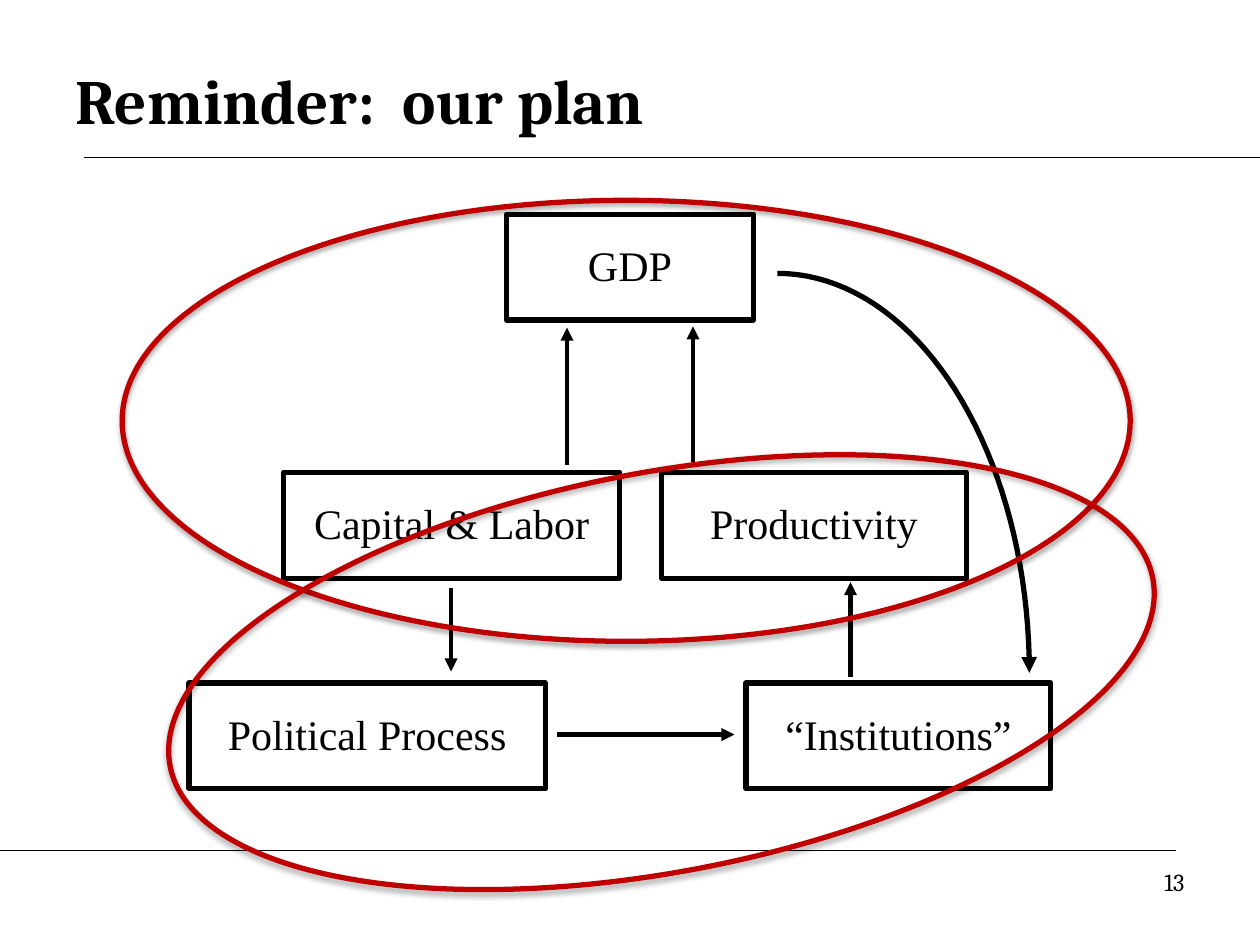
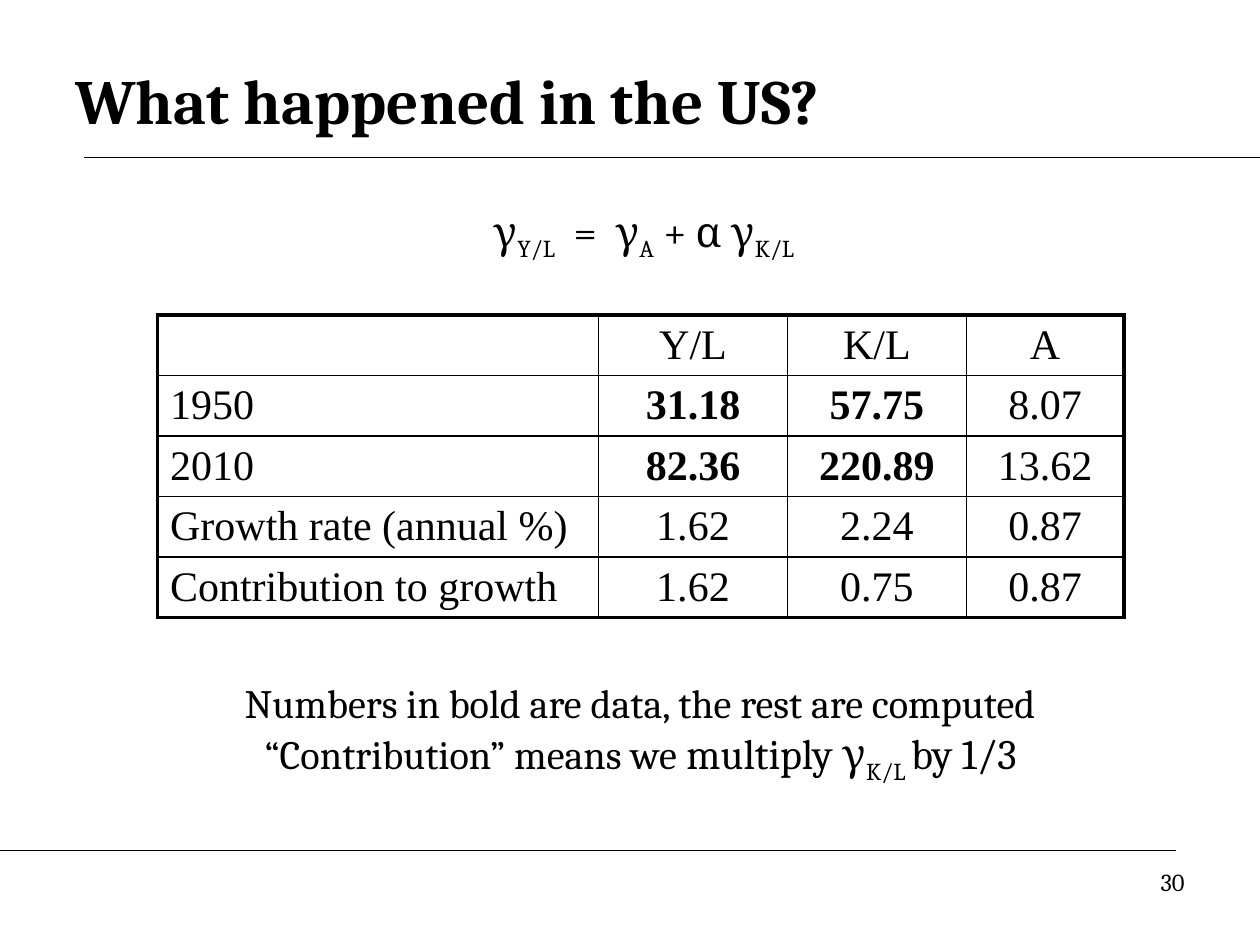
from math import cos, pi, sin

from pptx import Presentation
from pptx.dml.color import RGBColor
from pptx.enum.shapes import MSO_CONNECTOR as CONN, MSO_SHAPE as SHAPE
from pptx.enum.text import MSO_ANCHOR as ANCHOR, MSO_AUTO_SIZE as AUTO, PP_ALIGN as ALIGN
from pptx.oxml import parse_xml
from pptx.oxml.ns import nsdecls
from pptx.util import Inches, Pt

BLACK, RED = "000000", "C00000"
SERIF, TIMES = "Cambria", "Times New Roman"

# Content: flow diagram
PLAN_TITLE, PLAN_PAGE = "Reminder:  our plan", "13"
BOX_H = 0.84
BOXES = [  # text, left, top, width
    ("GDP", 4.02, 1.7, 1.96),
    ("Capital & Labor", 2.25, 3.75, 2.67),
    ("Productivity", 5.25, 3.75, 2.42),
    ("Political Process", 1.5, 5.42, 2.83),
    ("“Institutions”", 5.92, 5.42, 2.42),
]
ARROWS = [  # from x, y, to x, y
    (4.5, 3.69, 4.5, 2.6),
    (5.5, 3.67, 5.5, 2.59),
    (6.75, 5.37, 6.75, 4.62),
    (4.42, 5.83, 5.83, 5.83),
    (3.58, 4.67, 3.58, 5.33),
]
FEEDBACK_ARC = (6.17, 5.34, 2, 3.17)  # centre x, y, radius x, y
ELLIPSES = [  # left, top, width, height, rotation
    (0.97, 1.59, 8, 3.5, 0),
    (1.28, 3.75, 7.94, 3.17, -10.8),
]

# Content: growth accounting; text runs are (text, size, is subscript)
US_TITLE, US_PAGE = "What happened in the US?", "30"
FORMULA = [[("γ", 24, False), ("Y/L", 24, True), ("  =  γ", 24, False),
            ("A", 24, True), (" + α γ", 24, False), ("K/L ", 24, True)]]
NOTES = [
    [("Numbers in bold are data, the rest are computed", 23, False)],
    [("“Contribution” means we ", 23, False), ("multiply γ", 24, False),
     ("K/L ", 24, True), ("by 1/3", 24, False)],
]
GROWTH = [
    ("", "Y/L", "K/L", "A"),
    ("1950", "31.18", "57.75", "8.07"),
    ("2010", "82.36", "220.89", "13.62"),
    ("Growth rate (annual %)", "1.62", "2.24", "0.87"),
    ("Contribution to growth", "1.62", "0.75", "0.87"),
]
DATA_ROWS, DATA_COLS = (1, 2), (1, 2)
COL_WIDTHS, ROW_H = (3.5, 1.5, 1.42, 1.25), 0.47


def rgb(value):
    return RGBColor.from_string(value)


def set_font(font, size, name=SERIF, bold=False):
    font.name, font.size, font.bold = name, Pt(size), bold
    font.color.rgb = rgb(BLACK)


def set_line(sp, width, color=BLACK, arrow=False):
    sp.line.color.rgb = rgb(color)
    sp.line.width = Pt(width)
    if arrow:
        sp.line._get_or_add_ln().append(
            parse_xml(f'<a:tailEnd {nsdecls("a")} type="triangle"/>'))


def add_line(s, x1, y1, x2, y2, width, arrow=False):
    c = s.shapes.add_connector(CONN.STRAIGHT, *map(Inches, (x1, y1, x2, y2)))
    set_line(c, width, arrow=arrow)
    c._element.spPr.append(parse_xml(f'<a:effectLst {nsdecls("a")}/>'))


def add_outline(s, kind, at, color=BLACK):
    sp = s.shapes.add_shape(kind, *map(Inches, at))
    sp.shadow.inherit = False
    sp.fill.background()
    set_line(sp, 3, color)
    return sp


def add_text(s, at, paragraphs, align):
    tf = s.shapes.add_textbox(*map(Inches, at)).text_frame
    tf.word_wrap = True
    for i, runs in enumerate(paragraphs):
        p = tf.add_paragraph() if i else tf.paragraphs[0]
        p.alignment = align
        if i:
            p.space_before = Pt(1)
        for text, size, subscript in runs:
            r = p.add_run()
            r.text = text
            set_font(r.font, size)
            if subscript:
                r.font._element.set("baseline", "-25000")


def add_slide(prs, title, page):
    """Title, the two rules and the page number."""
    s = prs.slides.add_slide(prs.slide_layouts[5])
    add_line(s, 0.67, 1.25, 10, 1.25, 0.75)
    add_line(s, 0, 6.75, 9.33, 6.75, 0.75)
    ph = s.shapes.title
    ph.left, ph.top, ph.width, ph.height = map(Inches, (0.5, 0.33, 9, 0.92))
    tf = ph.text_frame
    tf.text = title
    tf.auto_size, tf.vertical_anchor = AUTO.NONE, ANCHOR.MIDDLE
    p = tf.paragraphs[0]
    p.alignment = ALIGN.LEFT
    set_font(p.font, 36, bold=True)
    add_text(s, (7.17, 6.83, 2.33, 0.52), [[(page, 14, False)]], ALIGN.RIGHT)
    return s


def add_box(s, text, left, top, width):
    tf = add_outline(s, SHAPE.RECTANGLE, (left, top, width, BOX_H)).text_frame
    tf.margin_left = tf.margin_right = tf.margin_top = tf.margin_bottom = Inches(0.2)
    tf.word_wrap, tf.vertical_anchor = False, ANCHOR.TOP
    tf.text = text
    p = tf.paragraphs[0]
    p.alignment = ALIGN.CENTER
    set_font(p.font, 24, TIMES)


def add_feedback_arc(s, cx, cy, rx, ry, steps=40):
    """Quarter ellipse from its top to its right end."""
    angles = [pi / 2 * i / steps for i in range(steps + 1)]
    points = [(Inches(cx + rx * sin(a)), Inches(cy - ry * cos(a))) for a in angles]
    fb = s.shapes.build_freeform(*points[0])
    fb.add_line_segments(points[1:], close=False)
    sp = fb.convert_to_shape()
    sp.shadow.inherit = False
    sp.fill.background()
    set_line(sp, 3, arrow=True)


def add_ellipse(s, left, top, width, height, rotation):
    sp = add_outline(s, SHAPE.OVAL, (left, top, width, height), RED)
    sp.rotation = rotation
    effects = sp._element.spPr.find("{*}effectLst")
    effects.append(parse_xml(
        f'<a:outerShdw {nsdecls("a")} blurRad="{Pt(3.1)}" dist="{Pt(1.8)}" dir="5400000" '
        f'rotWithShape="0"><a:srgbClr val="{BLACK}"><a:alpha val="35000"/></a:srgbClr>'
        '</a:outerShdw>'))


def set_borders(cell, outer):
    """Thick lines on the table's outer sides, thin ones inside."""
    tc_pr = cell._tc.get_or_add_tcPr()
    for side in "LRTB":
        width = Pt(2.25 if side in outer else 1)
        tc_pr.append(parse_xml(
            f'<a:ln{side} {nsdecls("a")} w="{width}"><a:solidFill>'
            f'<a:srgbClr val="{BLACK}"/></a:solidFill></a:ln{side}>'))


def add_growth_table(s, left, top):
    n_rows, n_cols = len(GROWTH), len(COL_WIDTHS)
    size = sum(COL_WIDTHS), ROW_H * n_rows
    table = s.shapes.add_table(n_rows, n_cols, *map(Inches, (left, top, *size))).table
    table.first_row = table.horz_banding = False
    for col, width in zip(table.columns, COL_WIDTHS):
        col.width = Inches(width)
    for i, row in enumerate(GROWTH):
        table.rows[i].height = Inches(ROW_H)
        for j, text in enumerate(row):
            cell = table.cell(i, j)
            edges = {"L": j == 0, "R": j == n_cols - 1, "T": i == 0, "B": i == n_rows - 1}
            set_borders(cell, [side for side, is_outer in edges.items() if is_outer])
            cell.fill.background()
            cell.margin_top = cell.margin_bottom = Inches(0.04)
            cell.vertical_anchor = ANCHOR.MIDDLE
            cell.text = text
            p = cell.text_frame.paragraphs[0]
            p.alignment = ALIGN.CENTER if j else ALIGN.LEFT
            set_font(p.font, 24, TIMES, i in DATA_ROWS and j in DATA_COLS)


def main():
    prs = Presentation()
    prs.slide_width, prs.slide_height = Inches(10), Inches(7.5)

    # Flow diagram
    s = add_slide(prs, PLAN_TITLE, PLAN_PAGE)
    for box in BOXES:
        add_box(s, *box)
    for arrow in ARROWS:
        add_line(s, *arrow, 2.5, arrow=True)
    add_feedback_arc(s, *FEEDBACK_ARC)
    for ellipse in ELLIPSES:
        add_ellipse(s, *ellipse)

    # Growth accounting
    s = add_slide(prs, US_TITLE, US_PAGE)
    add_growth_table(s, 1.25, 2.5)
    add_text(s, (0.67, 5.33, 8.83, 0.92), NOTES, ALIGN.CENTER)
    add_text(s, (1.67, 1.58, 6.92, 0.81), FORMULA, ALIGN.CENTER)

    prs.save("out.pptx")


if __name__ == "__main__":
    main()
